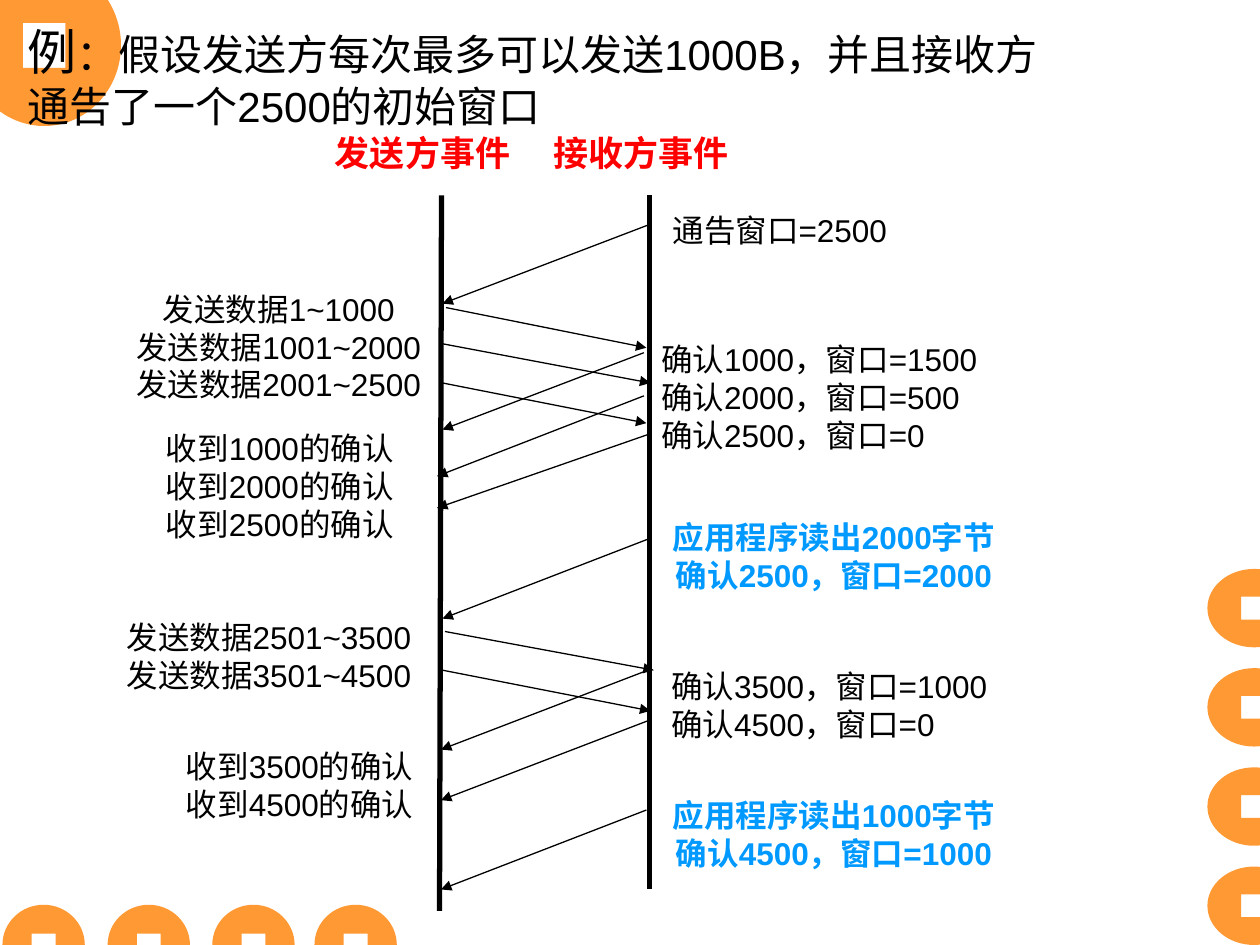
from dataclasses import dataclass
from itertools import pairwise
from math import cos, radians, sin, tan

from lxml import etree
from pptx import Presentation
from pptx.dml.color import RGBColor
from pptx.enum.shapes import MSO_CONNECTOR
from pptx.enum.text import MSO_ANCHOR, MSO_AUTO_SIZE, PP_ALIGN
from pptx.oxml.ns import qn
from pptx.util import Cm, Pt

LEFT, MID = PP_ALIGN.LEFT, PP_ALIGN.CENTER
TOP = MSO_ANCHOR.TOP
GROW = MSO_AUTO_SIZE.SHAPE_TO_FIT_TEXT
LINE = MSO_CONNECTOR.STRAIGHT
WIDE, HIGH = 25.4, 19.05
TITLE_ONLY = 5


@dataclass(frozen=True)
class Theme:
    font: str = "Arial"
    ink: RGBColor = RGBColor(0, 0, 0)
    head: RGBColor = RGBColor(0xFF, 0, 0)
    app: RGBColor = RGBColor(0, 0x99, 0xFF)
    ring: RGBColor = RGBColor(0xFF, 0x99, 0x33)
    lead: int = 28
    title: int = 24
    label: int = 20
    note: int = 18


THEME = Theme()

HEADS = [(6.5, "发送方事件"), (10.9, "接收方事件")]

NOTES = [
    (13.2, 4.13, 5.04, MID, ["通告窗口=2500"]),
    (2.4, 5.72, 6.44, MID,
     ["发送数据1~1000", "发送数据1001~2000", "发送数据2001~2500"]),
    (13.08, 6.73, 7.34, LEFT,
     ["确认1000，窗口=1500", "确认2000，窗口=500", "确认2500，窗口=0"]),
    (2.9, 8.53, 5.48, MID,
     ["收到1000的确认", "收到2000的确认", "收到2500的确认"]),
    (2.2, 12.33, 6.44, MID, ["发送数据2501~3500", "发送数据3501~4500"]),
    (13.28, 13.33, 7.34, LEFT, ["确认3500，窗口=1000", "确认4500，窗口=0"]),
    (3.3, 14.94, 5.48, MID, ["收到3500的确认", "收到4500的确认"]),
]

READS = [
    (10.32, ["应用程序读出2000字节", "确认2500，窗口=2000"]),
    (15.93, ["应用程序读出1000字节", "确认4500，窗口=1000"]),
]

LIVES = [(8.9, 3.94, 8.86, 18.36), (13.1, 3.94, 13.1, 17.93)]

SENDS = [
    (13.11, 4.52, 8.92, 6.12),
    (8.99, 6.2, 13.03, 7.01),
    (8.92, 6.93, 13.11, 7.72),
    (8.92, 7.72, 13.03, 8.53),
    (12.98, 7.11, 8.92, 8.66),
    (12.98, 7.98, 8.81, 9.6),
    (13.06, 8.76, 8.81, 10.24),
    (13.06, 10.87, 8.92, 12.47),
    (8.97, 12.73, 13.18, 13.51),
    (8.92, 13.51, 13.11, 14.33),
    (13.06, 13.51, 8.89, 15.11),
    (13.06, 14.53, 8.89, 16.13),
    (13.03, 16.33, 8.89, 17.93),
]


def spot(x, y):
    return Cm(x), Cm(y)


def get_arc(x, y, size, turns):
    def place(a, b):
        return spot(x + size[0] * a, y + size[1] * b)

    turns = [radians(turn) for turn in turns]
    points = [place(cos(turns[0]), sin(turns[0]))]
    for a, b in pairwise(turns):
        k = 4 / 3 * tan((b - a) / 4)
        points += [
            place(cos(a) - k * sin(a), sin(a) + k * cos(a)),
            place(cos(b) + k * sin(b), sin(b) - k * cos(b)),
            place(cos(b), sin(b)),
        ]
    return points


def bend(shape, count):
    steps = list(shape.element.iter(qn("a:lnTo")))[:3 * count]
    for i in range(0, len(steps), 3):
        curve = etree.Element(qn("a:cubicBezTo"))
        steps[i].addprevious(curve)
        for step in steps[i:i + 3]:
            curve.append(step[0])
            step.getparent().remove(step)


def add_ring(slide, x, y, size, turns, rest, hole=()):
    arc = get_arc(x, y, size, turns)
    pen = slide.shapes.build_freeform(*arc[0])
    pen.add_line_segments(arc[1:] + [spot(*point) for point in rest])
    if hole:
        pen.move_to(*spot(*hole[0]))
        pen.add_line_segments([spot(*point) for point in hole[1:]])
    ring = pen.convert_to_shape()
    bend(ring, len(turns) - 1)
    ring.shadow.inherit = False
    ring.fill.solid()
    ring.fill.fore_color.rgb = THEME.ring
    ring.line.fill.background()


def add_rings(slide):
    hole = [(1.32, 1.37), (0.46, 1.37), (0.46, 0.46), (1.32, 0.46)]
    add_ring(slide, 0.89, 0.91, (1.55, 1.63), (125, 90, 0, -34),
             [(0, 0)], hole)
    for i in range(4):
        y = 12.26 + 2 * i
        add_ring(slide, 25.28, y, (0.94, 0.79), (-82, -90, -180, -270, -278),
                 [(WIDE, y + 0.23), (25.02, y + 0.23),
                  (25.02, y - 0.23), (WIDE, y - 0.23)])
    for x in (0.88, 3, 5.11, 7.17):
        add_ring(slide, x, HIGH, (0.83, 0.81), (180, 270, 360),
                 [(x + 0.24, HIGH), (x + 0.24, 18.82),
                  (x - 0.24, 18.82), (x - 0.24, HIGH)])


def add_line(slide, ends, width, arrow=False):
    line = slide.shapes.add_connector(LINE, *map(Cm, ends))
    line.line.color.rgb = THEME.ink
    line.line.width = Pt(width)
    if arrow:
        stroke = line.line._get_or_add_ln()
        etree.SubElement(stroke, qn("a:tailEnd"), type="triangle")
    etree.SubElement(line.element.spPr, qn("a:effectLst"))


def set_font(para, size, color, bold=False):
    font = para.font
    font.name, font.size, font.bold = THEME.font, Pt(size), bold
    font.color.rgb = color


def add_text(slide, x, y, width, align, lines, size, color, bold=False):
    high = 0.25 + 0.76 * len(lines)
    box = slide.shapes.add_textbox(Cm(x), Cm(y), Cm(width), Cm(high))
    frame = box.text_frame
    frame.word_wrap = False
    frame.auto_size = GROW
    frame.text = "\n".join(lines)
    for para in frame.paragraphs:
        para.alignment = align
        set_font(para, size, color, bold)


def set_title(slide):
    title = slide.shapes.title
    title.left, title.top = Cm(0.3), Cm(0.3)
    title.width, title.height = Cm(21.29), Cm(2.46)
    frame = title.text_frame
    frame.word_wrap = False
    frame.auto_size = GROW
    frame.vertical_anchor = TOP
    first, last = frame.paragraphs[0], frame.add_paragraph()
    lead = first.add_run()
    lead.text = "例"
    lead.font.size = Pt(THEME.lead)
    first.add_run().text = "：假设发送方每次最多可以发送1000B，并且接收方"
    last.text = "通告了一个2500的初始窗口"
    for para in (first, last):
        para.alignment = LEFT
        set_font(para, THEME.title, THEME.ink)
    slide.shapes.element.append(title.element)


def main():
    deck = Presentation()
    deck.slide_width, deck.slide_height = Cm(WIDE), Cm(HIGH)
    slide = deck.slides.add_slide(deck.slide_layouts[TITLE_ONLY])
    add_rings(slide)
    for ends in LIVES:
        add_line(slide, ends, 3)
    for ends in SENDS:
        add_line(slide, ends, 0.75, arrow=True)
    for x, text in HEADS:
        add_text(slide, x, 2.53, 4.04, MID, [text],
                 THEME.label, THEME.head, True)
    for note in NOTES:
        add_text(slide, *note, THEME.note, THEME.ink)
    for y, lines in READS:
        add_text(slide, 13.13, y, 7.36, MID, lines,
                 THEME.note, THEME.app, True)
    set_title(slide)
    deck.save("out.pptx")


if __name__ == "__main__":
    main()
